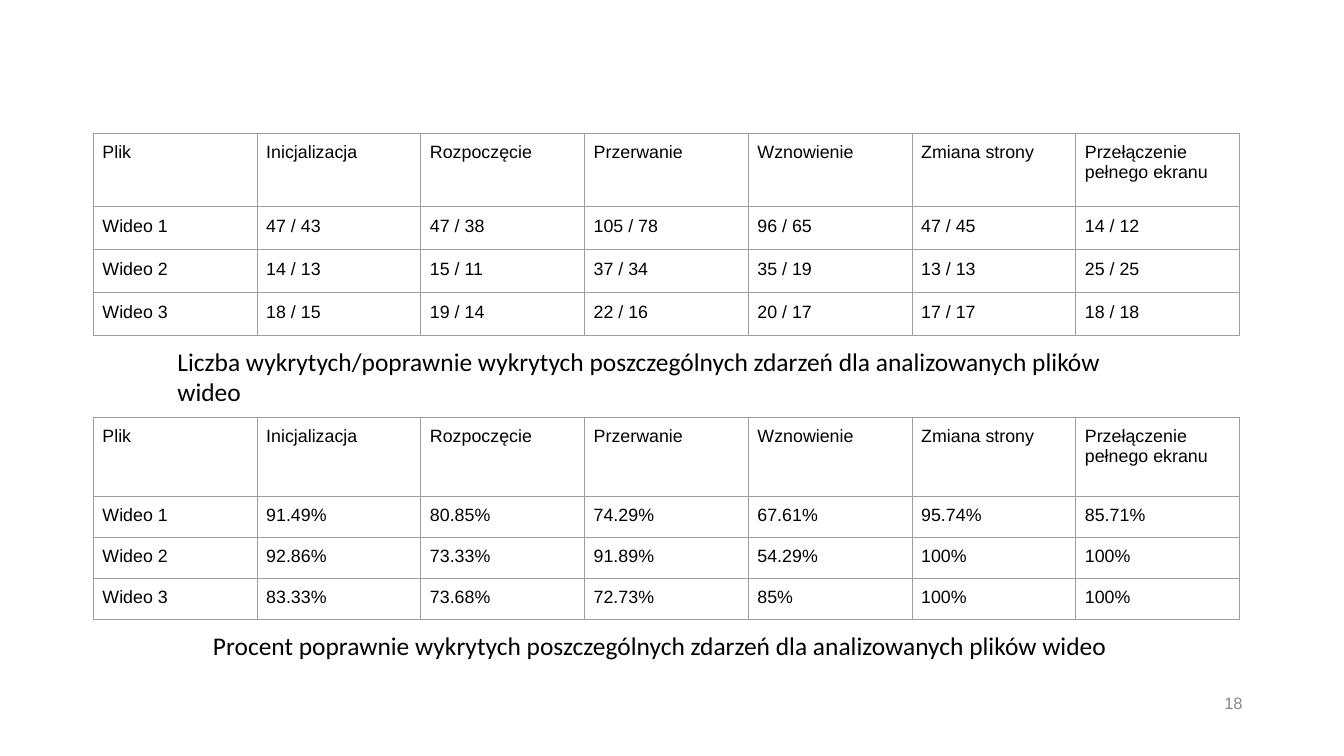
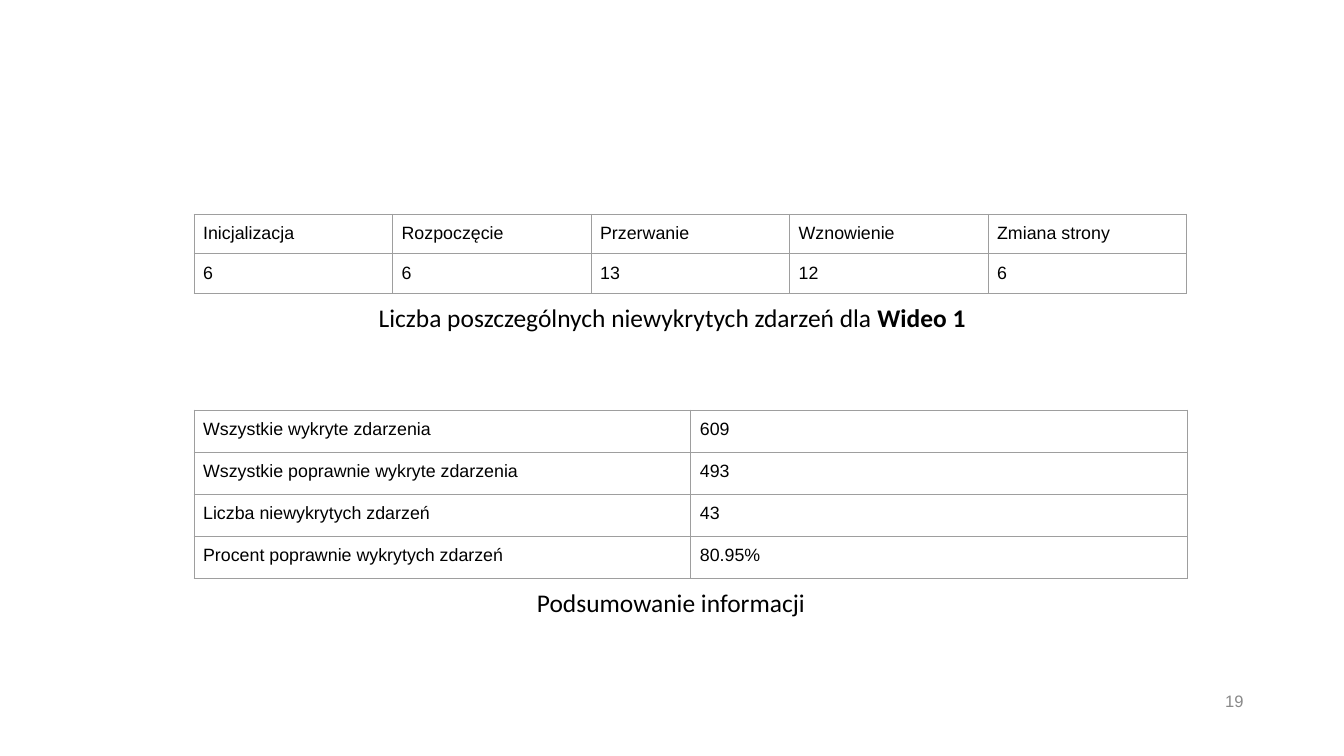
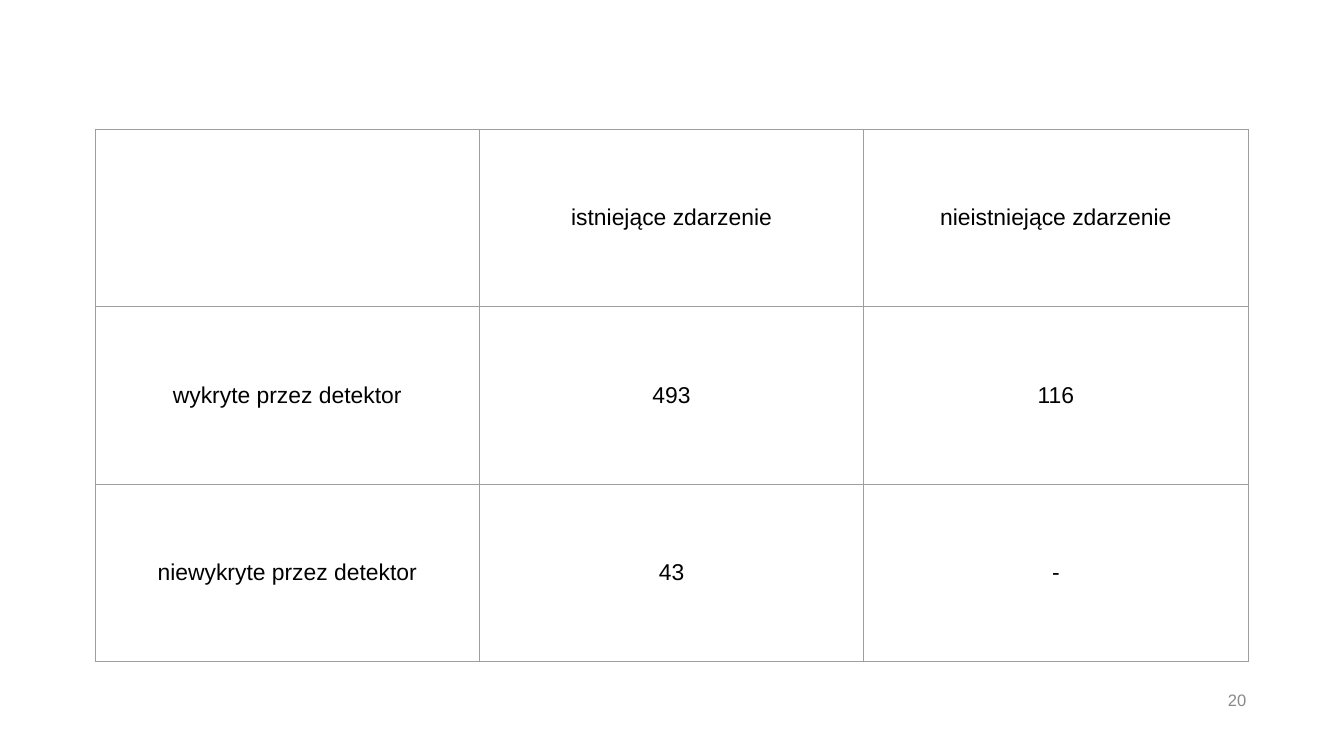
from dataclasses import dataclass

from lxml.etree import SubElement
from pptx import Presentation
from pptx.dml.color import RGBColor
from pptx.enum.text import MSO_ANCHOR as Anchor, PP_ALIGN as Align
from pptx.oxml.ns import qn
from pptx.slide import Slide
from pptx.table import _Cell as Cell
from pptx.util import Emu, Pt

BLACK = RGBColor(0x00, 0x00, 0x00)
GREY = RGBColor(0x89, 0x89, 0x89)
BORDER = RGBColor(0x9E, 0x9E, 0x9E)
TABLE_FONT = "Arial"
CAPTION_FONT = "Calibri"
INSET = 10
FRAME_SIDE = 328
BORDER_WIDTH = Pt(0.75)


def px(length: int) -> Emu:
    """Turn px, 100 to the inch, into EMU."""
    return Emu(length * 9144)


@dataclass(frozen=True)
class Grid:
    left: int
    top: int
    column_width: int
    row_heights: tuple[int, ...]
    rows: list[list[str]]
    size: int = 14
    centred: bool = False


@dataclass(frozen=True)
class Label:
    left: int
    top: int
    width: int
    text: str
    bold_end: str = ""
    height: int = 54
    size: int = 20
    font: str = CAPTION_FONT
    color: RGBColor = BLACK
    align: Align = Align.LEFT
    anchor: Anchor = Anchor.TOP
    inset_y: int = INSET


@dataclass(frozen=True)
class Page:
    grids: list[Grid]
    labels: list[Label]


def page_number(left: int, top: int, number: int) -> Label:
    return Label(left, top, 331, str(number), height=44, size=13, font=TABLE_FONT,
                 color=GREY, align=Align.RIGHT, anchor=Anchor.MIDDLE, inset_y=5)


def add_run(paragraph, text: str, size: int, font: str, color: RGBColor,
            bold: bool = False) -> None:
    run = paragraph.add_run()
    run.text = text
    run.font.size = Pt(size)
    run.font.name = font
    run.font.color.rgb = color
    run.font.bold = bold


def set_borders(cell: Cell) -> None:
    """Outline all four sides; the lines have to stand before the fill."""
    properties = cell._tc.get_or_add_tcPr()
    for position, side in enumerate(("lnL", "lnR", "lnT", "lnB")):
        line = SubElement(properties, qn(f"a:{side}"), w=str(BORDER_WIDTH))
        fill = SubElement(line, qn("a:solidFill"))
        SubElement(fill, qn("a:srgbClr"), val=str(BORDER))
        properties.insert(position, line)


def fill_cell(cell: Cell, text: str, grid: Grid) -> None:
    cell.fill.background()
    set_borders(cell)
    cell.margin_left = cell.margin_right = px(INSET)
    cell.margin_top = cell.margin_bottom = px(INSET)
    cell.vertical_anchor = Anchor.MIDDLE if grid.centred else Anchor.TOP
    paragraph = cell.text_frame.paragraphs[0]
    paragraph.alignment = Align.CENTER if grid.centred else Align.LEFT
    if text:
        add_run(paragraph, text, grid.size, TABLE_FONT, BLACK)


def add_grid(slide: Slide, grid: Grid) -> None:
    """Draw a table; its columns and rows, not its frame, give its drawn size."""
    frame = slide.shapes.add_table(
        len(grid.rows), len(grid.rows[0]), px(grid.left), px(grid.top),
        px(FRAME_SIDE), px(FRAME_SIDE))
    table = frame.table
    table.first_row = table.horz_banding = False
    for column in table.columns:
        column.width = px(grid.column_width)
    for r, (height, texts) in enumerate(zip(grid.row_heights, grid.rows)):
        table.rows[r].height = px(height)
        for c, text in enumerate(texts):
            fill_cell(table.cell(r, c), text, grid)
    frame.width = frame.height = px(FRAME_SIDE)


def add_label(slide: Slide, label: Label) -> None:
    frame = slide.shapes.add_textbox(
        px(label.left), px(label.top), px(label.width), px(label.height)).text_frame
    frame.word_wrap = True
    frame.vertical_anchor = label.anchor
    frame.margin_left = frame.margin_right = px(INSET)
    frame.margin_top = frame.margin_bottom = px(label.inset_y)
    paragraph = frame.paragraphs[0]
    paragraph.alignment = label.align
    add_run(paragraph, label.text, label.size, label.font, label.color)
    if label.bold_end:
        add_run(paragraph, label.bold_end, label.size, label.font, label.color, bold=True)


EVENTS = ["Inicjalizacja", "Rozpoczęcie", "Przerwanie", "Wznowienie", "Zmiana strony"]
FILE_HEADER = ["Plik", *EVENTS, "Przełączenie pełnego ekranu"]

DETECTED_COUNTS = [
    FILE_HEADER,
    ["Wideo 1", "47 / 43", "47 / 38", "105 / 78", "96 / 65", "47 / 45", "14 / 12"],
    ["Wideo 2", "14 / 13", "15 / 11", "37 / 34", "35 / 19", "13 / 13", "25 / 25"],
    ["Wideo 3", "18 / 15", "19 / 14", "22 / 16", "20 / 17", "17 / 17", "18 / 18"],
]
DETECTED_PERCENT = [
    FILE_HEADER,
    ["Wideo 1", "91.49%", "80.85%", "74.29%", "67.61%", "95.74%", "85.71%"],
    ["Wideo 2", "92.86%", "73.33%", "91.89%", "54.29%", "100%", "100%"],
    ["Wideo 3", "83.33%", "73.68%", "72.73%", "85%", "100%", "100%"],
]
MISSED_COUNTS = [EVENTS, ["6", "6", "13", "12", "6"]]
SUMMARY = [
    ["Wszystkie wykryte zdarzenia", "609"],
    ["Wszystkie poprawnie wykryte zdarzenia", "493"],
    ["Liczba niewykrytych zdarzeń", "43"],
    ["Procent poprawnie wykrytych zdarzeń", "80.95%"],
]
CONFUSION_MATRIX = [
    ["", "istniejące zdarzenie", "nieistniejące zdarzenie"],
    ["wykryte przez detektor", "493", "116"],
    ["niewykryte przez detektor", "43", "-"],
]

PAGES = [
    Page(
        [Grid(102, 146, 179, (80, 47, 47, 47), DETECTED_COUNTS),
         Grid(102, 456, 179, (86, 45, 45, 45), DETECTED_PERCENT)],
        [Label(184, 368, 1102, "Liczba wykrytych/poprawnie wykrytych poszczególnych "
                               "zdarzeń dla analizowanych plików wideo"),
         Label(223, 678, 1010, "Procent poprawnie wykrytych poszczególnych "
                               "zdarzeń dla analizowanych plików wideo"),
         page_number(1037, 746, 18)]),
    Page(
        [Grid(212, 234, 217, (43, 43), MISSED_COUNTS),
         Grid(212, 448, 543, (46,) * 4, SUMMARY)],
        [Label(404, 320, 662, "Liczba poszczególnych niewykrytych zdarzeń dla ",
               bold_end="Wideo 1"),
         Label(577, 631, 315, "Podsumowanie informacji"),
         page_number(1038, 744, 19)]),
    Page(
        [Grid(104, 141, 420, (194,) * 3, CONFUSION_MATRIX, size=18, centred=True)],
        [page_number(1041, 743, 20)]),
]


def main() -> None:
    deck = Presentation()
    deck.slide_width, deck.slide_height = px(1469), px(826)
    blank = deck.slide_layouts[6]
    for page in PAGES:
        slide = deck.slides.add_slide(blank)
        for grid in page.grids:
            add_grid(slide, grid)
        for label in page.labels:
            add_label(slide, label)
    deck.save("out.pptx")


if __name__ == "__main__":
    main()
